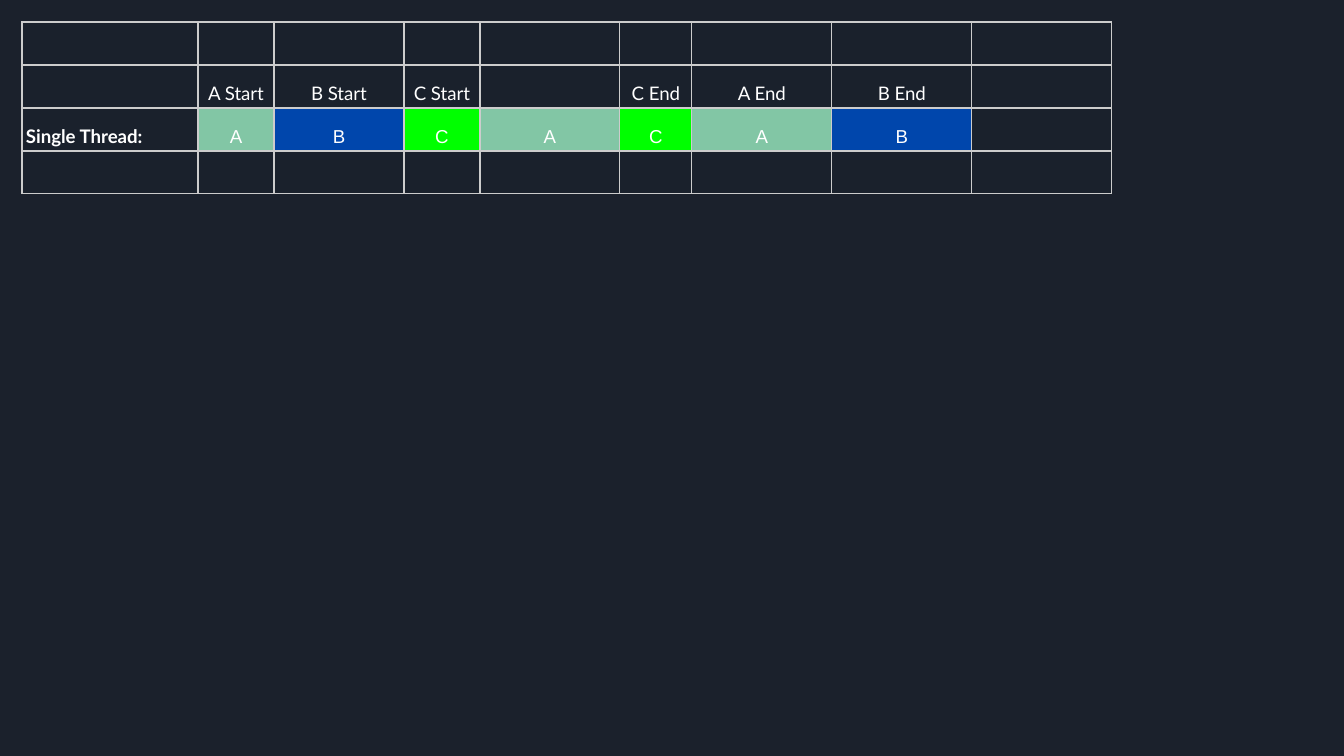
from lxml import etree
from pptx import Presentation
from pptx import util as u
from pptx.dml.color import RGBColor
from pptx.enum import text
from pptx.oxml.ns import qn

PX = 9144000 / 1344
HUES = {"back": "1B212C", "cell": "1A212C", "line": "CCCCCC", "text": "FFFFFF",
        "A": "82C6A5", "B": "0046AC", "C": "00FF00"}


def px(n):
    return u.Emu(round(n * PX))


def edge(cell, side):
    line = etree.SubElement(cell._tc.get_or_add_tcPr(), qn("a:" + side), w=str(u.Pt(0.75)))
    fill = etree.SubElement(line, qn("a:solidFill"))
    etree.SubElement(fill, qn("a:srgbClr"), val=HUES["line"])


deck = Presentation()
deck.slide_width, deck.slide_height = px(1344), px(756)
slide = deck.slides.add_slide(deck.slide_layouts[6])
slide.background.fill.solid()
slide.background.fill.fore_color.rgb = RGBColor.from_string(HUES["back"])

wides = [176, 76, 130, 76, 140, 72, 140, 140, 140]
high = 43
blank = [""] * len(wides)
rows = [
    blank,
    ["", "A Start", "B Start", "C Start", "", "C End", "A End", "B End", ""],
    ["Single Thread:", "A", "B", "C", "A", "C", "A", "B", ""],
    blank,
]

frame = slide.shapes.add_table(len(rows), len(wides), px(22), px(22),
                               px(sum(wides)), px(high * len(rows)))
table = frame.table
table.first_row = table.horz_banding = False
for col, wide in zip(table.columns, wides):
    col.width = px(wide)

for r, row in enumerate(rows):
    table.rows[r].height = px(high)
    for c, word in enumerate(row):
        cell = table.cell(r, c)
        for side in ("lnL", "lnR", "lnT", "lnB"):
            edge(cell, side)
        task = word in ("A", "B", "C")
        cell.fill.solid()
        cell.fill.fore_color.rgb = RGBColor.from_string(HUES[word if task else "cell"])
        cell.margin_left = cell.margin_right = px(4)
        cell.margin_top = cell.margin_bottom = px(3)
        cell.vertical_anchor = text.MSO_ANCHOR.BOTTOM
        cell.text = word
        para = cell.text_frame.paragraphs[0]
        para.alignment = text.PP_ALIGN.CENTER if c else text.PP_ALIGN.LEFT
        para.line_spacing = 1.15
        para.font.size = u.Pt(10)
        para.font.name = "Arial" if task else "Lato"
        para.font.bold = c == 0
        para.font.color.rgb = RGBColor.from_string(HUES["text"])

deck.save("out.pptx")
